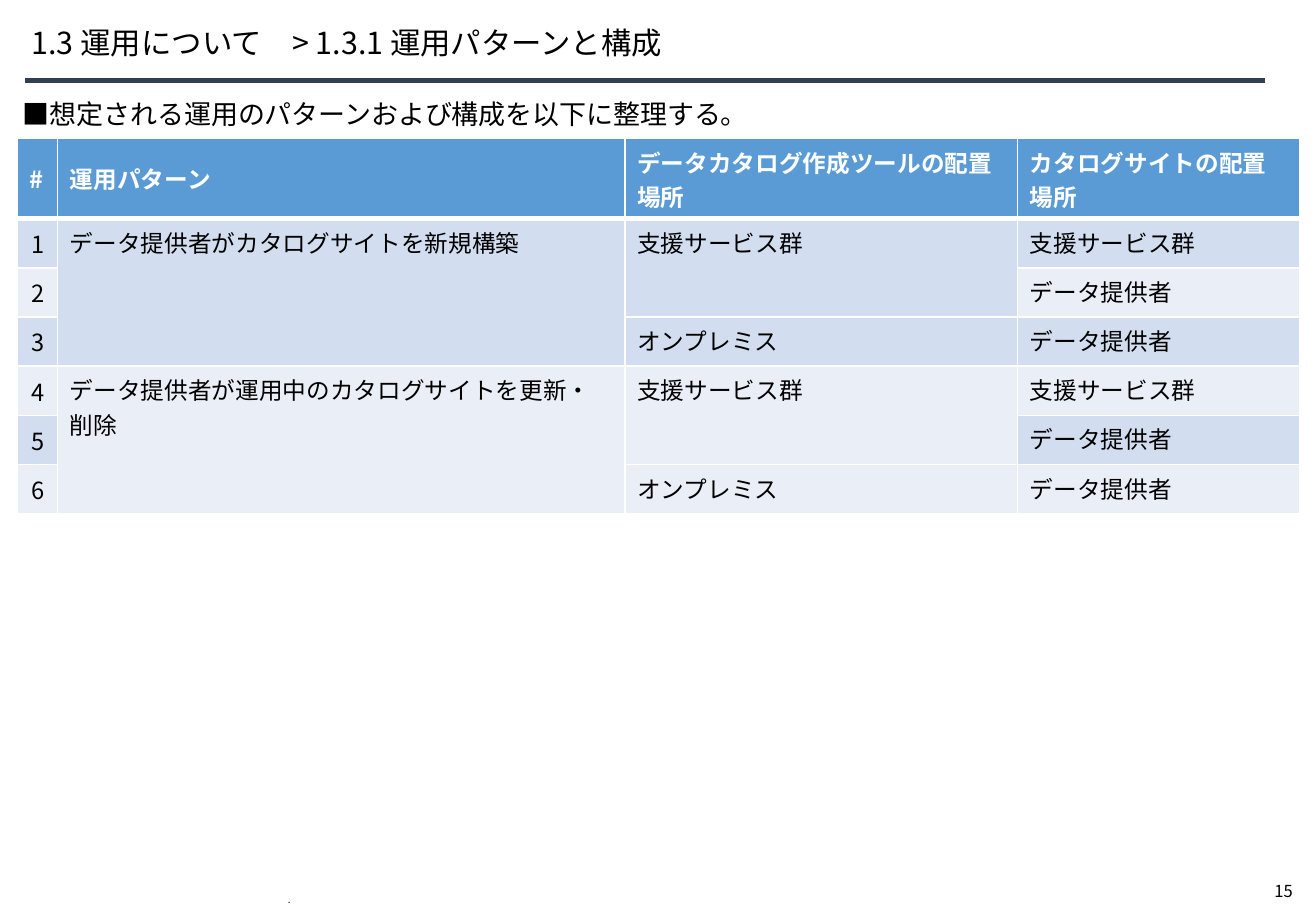
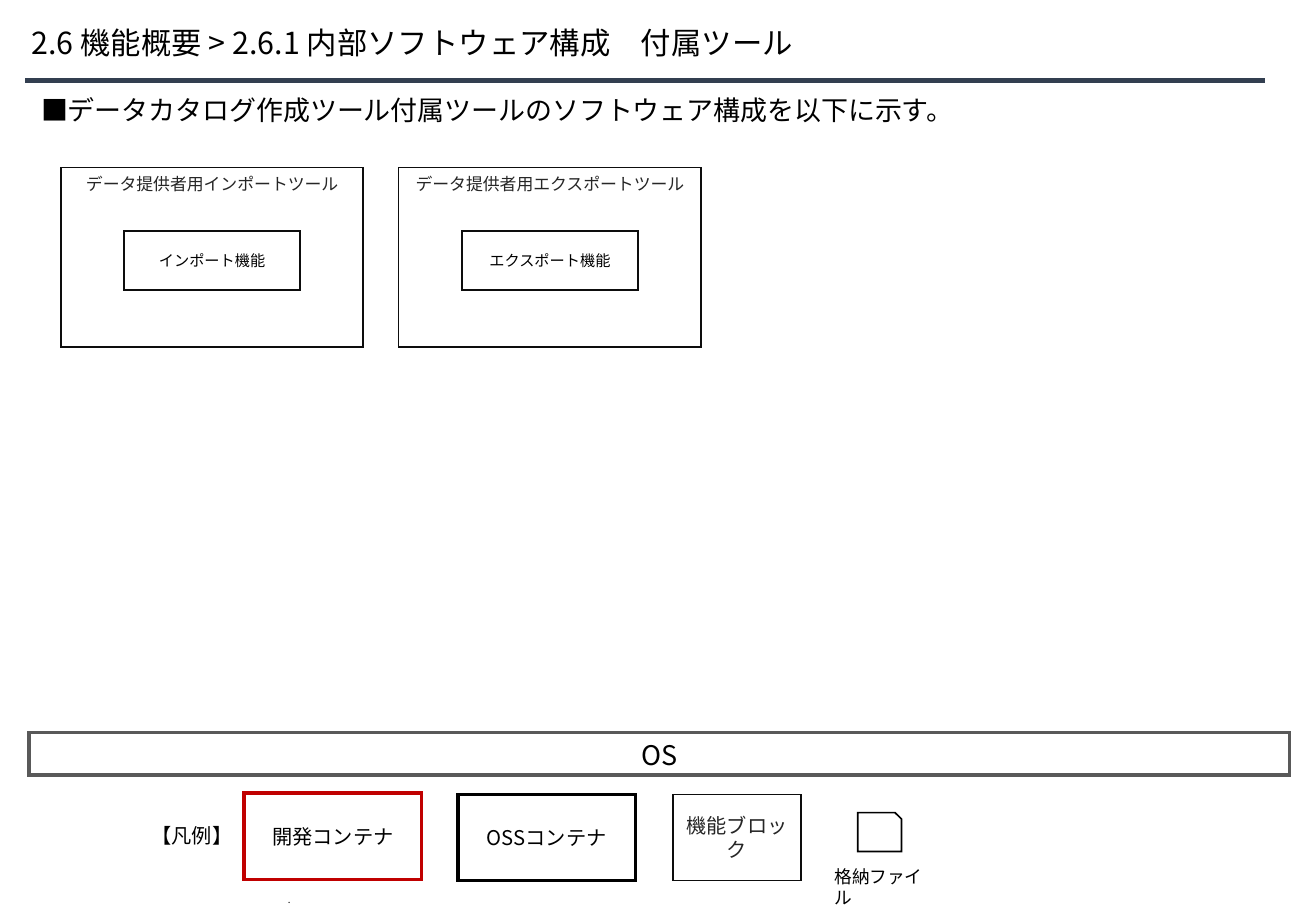
import pptx
import pptx.util
import pptx.dml.color
import pptx.enum.shapes
import pptx.enum.text
import lxml.etree

PX = 4572  # 200 px to the inch
FONT = "Noto Sans CJK JP"
RGB = pptx.dml.color.RGBColor
BLACK = RGB(0x00, 0x00, 0x00)
WHITE = RGB(0xFF, 0xFF, 0xFF)
INK = RGB(0x0D, 0x0D, 0x0D)
SOFT = RGB(0x26, 0x26, 0x26)
GRAY = RGB(0x59, 0x59, 0x59)
NAVY = RGB(0x33, 0x3F, 0x50)
RED = RGB(0xC0, 0x00, 0x00)
BLUE = RGB(0x5B, 0x9B, 0xD5)
BANDS = (RGB(0xD2, 0xDE, 0xEF), RGB(0xEA, 0xEF, 0xF7))

Pt = pptx.util.Pt
KIND = pptx.enum.shapes.MSO_SHAPE
LEFT = pptx.enum.text.PP_ALIGN.LEFT
MID = pptx.enum.text.PP_ALIGN.CENTER
TOP = pptx.enum.text.MSO_ANCHOR.TOP
HALF = pptx.enum.text.MSO_ANCHOR.MIDDLE
LOW = pptx.enum.text.MSO_ANCHOR.BOTTOM
NS = pptx.oxml.ns.qn


def px(*vals):
    return [pptx.util.Emu(val * PX) for val in vals]


def put(item, **vals):
    for key, val in vals.items():
        setattr(item, key, val)


def write(frame, text, size, color=BLACK, align=LEFT, bold=False, space=None):
    para = frame.paragraphs[0]
    put(para, alignment=align, line_spacing=space)
    run = para.add_run()
    run.text = text
    put(run.font, size=Pt(size), name=FONT, bold=bold)
    run.font.color.rgb = color
    east = lxml.etree.SubElement(run.font._element, NS("a:ea"))
    east.set("typeface", FONT)


def label(slide, rect, text, size, wrap=True, anchor=TOP, **form):
    frame = slide.shapes.add_textbox(*px(*rect)).text_frame
    put(frame, word_wrap=wrap, vertical_anchor=anchor)
    write(frame, text, size, **form)


def block(slide, rect, text="", size=12, line=None, width=1, fill=WHITE,
          kind=KIND.RECTANGLE, anchor=HALF, **form):
    shape = slide.shapes.add_shape(kind, *px(*rect))
    shape.shadow.inherit = False
    if fill is None:
        shape.fill.background()
    else:
        shape.fill.solid()
        shape.fill.fore_color.rgb = fill
    if line is None:
        shape.line.fill.background()
    else:
        shape.line.color.rgb = line
        shape.line.width = Pt(width)
        # Sharp corners
        join = lxml.etree.SubElement(
            shape._element.spPr.find(NS("a:ln")), NS("a:miter"))
        join.set("lim", "800000")
    if text:
        put(shape.text_frame, word_wrap=True, vertical_anchor=anchor)
        write(shape.text_frame, text, size, **form)


def start(deck, text):
    """Add a slide with the shared title, rule and foot mark."""
    slide = deck.slides.add_slide(deck.slide_layouts[5])
    # Title
    title = slide.shapes.title
    left, top, width, height = px(52, 26, 1984, 94)
    put(title, left=left, top=top, width=width, height=height)
    put(title.text_frame, word_wrap=True, vertical_anchor=HALF,
        auto_size=pptx.enum.text.MSO_AUTO_SIZE.NONE,
        margin_left=0, margin_right=px(20)[0],
        margin_top=px(10)[0], margin_bottom=px(10)[0])
    write(title.text_frame, text, 18, space=0.9)
    # Rule below the title
    rule = slide.shapes.add_connector(
        pptx.enum.shapes.MSO_CONNECTOR.STRAIGHT, *px(42, 132, 2082, 132))
    rule.line.color.rgb = NAVY
    rule.line.width = Pt(3)
    lxml.etree.SubElement(rule._element.spPr, NS("a:effectLst"))
    # Foot mark
    label(slide, (454, 1472, 1260, 28), ".", 5.7, anchor=LOW, space=Pt(1.6))
    return slide


def edge(cell, side, width):
    line = lxml.etree.SubElement(cell._tc.get_or_add_tcPr(), NS("a:ln" + side))
    line.set("w", str(Pt(width)))
    fill = lxml.etree.SubElement(line, NS("a:solidFill"))
    lxml.etree.SubElement(fill, NS("a:srgbClr")).set("val", str(WHITE))


def grid(slide, x, y, cols, top, high, rows, spans):
    """Draw the table; top is the height of the two-line header row."""
    rect = px(x, y, sum(cols), top + high * (len(rows) - 1))
    table = slide.shapes.add_table(len(rows), len(cols), *rect).table
    for col, wide in zip(table.columns, cols):
        col.width = px(wide)[0]
    for r, row in enumerate(rows):
        head = r == 0
        table.rows[r].height = px(top if head else high)[0]
        for c, text in enumerate(row):
            cell = table.cell(r, c)
            num = c == 0
            for side in "LRTB":
                thick = (side == "B" and r == 0) or (side == "T" and r == 1)
                edge(cell, side, 3 if thick else 1)
            cell.fill.solid()
            cell.fill.fore_color.rgb = BLUE if head else BANDS[(r - 1) % 2]
            cell.vertical_anchor = HALF if head or num else TOP
            if text:
                write(cell.text_frame, text, 14, WHITE if head else BLACK,
                      MID if num and not head else LEFT, head)
    for r, c, count in spans:
        table.cell(r, c).merge(table.cell(r + count - 1, c))


def tool(slide, x, y, name, part):
    """Draw a tool frame with its one function inside."""
    block(slide, (x, y, 498, 296), name, 10, INK, anchor=TOP,
          color=SOFT, align=MID)
    block(slide, (x + 104, y + 104, 290, 98), part, 9, INK, align=MID)


def legend(slide, x, y):
    label(slide, (x, y + 30, 200, 78), "【凡例】", 12, wrap=False,
          anchor=HALF, align=MID)
    for dx, dy, wide, text, line, width, color in (
            (186, 0, 292, "開発コンテナ", RED, 2, BLACK),
            (538, 2, 292, "OSSコンテナ", BLACK, 2, BLACK),
            (892, 2, 210, "機能ブロック", INK, 1, SOFT)):
        block(slide, (x + dx, y + dy, wide, 142), text, 12, line, width,
              color=color, align=MID)
    block(slide, (x + 1196, y + 32, 72, 64), line=BLACK, fill=None,
          kind=KIND.SNIP_1_RECTANGLE)
    label(slide, (x + 1138, y + 110, 198, 56), "格納ファイル", 10.5)


def main():
    deck = pptx.Presentation()
    deck.slide_width, deck.slide_height = px(2166, 1500)

    # Operation patterns
    slide = start(deck, "1.3 運用について　> 1.3.1 運用パターンと構成")
    block(slide, (18, 150, 2032, 94),
          "■想定される運用のパターンおよび構成を以下に整理する。", 16, anchor=TOP)
    hub, own, site = "支援サービス群", "データ提供者", "オンプレミス"
    rows = [("#", "運用パターン", "データカタログ作成ツールの配置場所",
             "カタログサイトの配置場所")]
    spans = []
    for text in ("データ提供者がカタログサイトを新規構築",
                 "データ提供者が運用中のカタログサイトを更新・削除"):
        r = len(rows)
        rows += [(str(r), text, hub, hub),
                 (str(r + 1), "", "", own),
                 (str(r + 2), "", site, own)]
        spans += [(r, 1, 3), (r, 2, 2)]
    grid(slide, 29, 228, (66, 934, 646, 464), 132, 81, rows, spans)
    label(slide, (2078, 1440, 86, 54), "15", 9.8, wrap=False)

    # Software structure of the attached tools
    slide = start(deck, "2.6 機能概要 > 2.6.1 内部ソフトウェア構成　付属ツール")
    block(slide, (48, 144, 2074, 68),
          "■データカタログ作成ツール付属ツールのソフトウェア構成を以下に示す。",
          16, anchor=TOP)
    for i, kind in enumerate(("インポート", "エクスポート")):
        tool(slide, 100 + 556 * i, 276, f"データ提供者用{kind}ツール", kind + "機能")
    block(slide, (48, 1206, 2074, 70), "OS", 16, GRAY, 2, anchor=TOP, align=MID)
    legend(slide, 216, 1306)

    deck.save("out.pptx")


if __name__ == "__main__":
    main()
